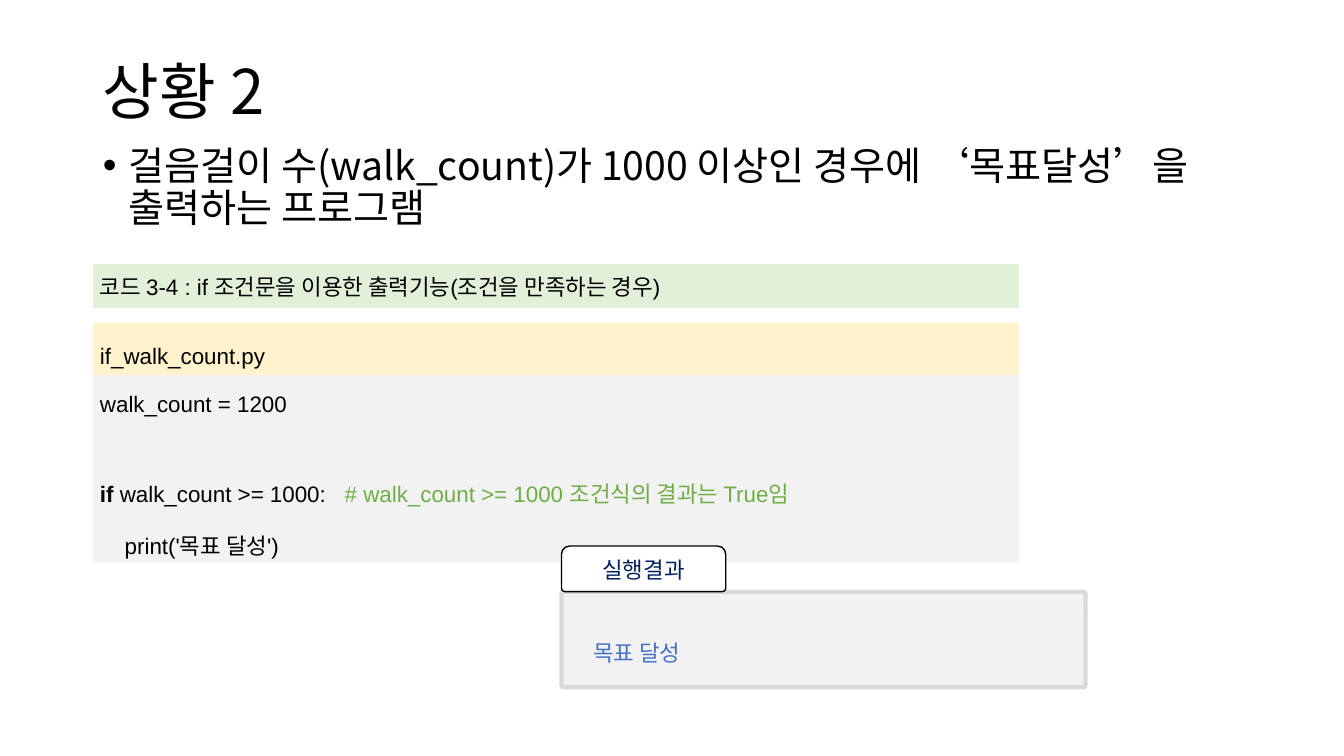
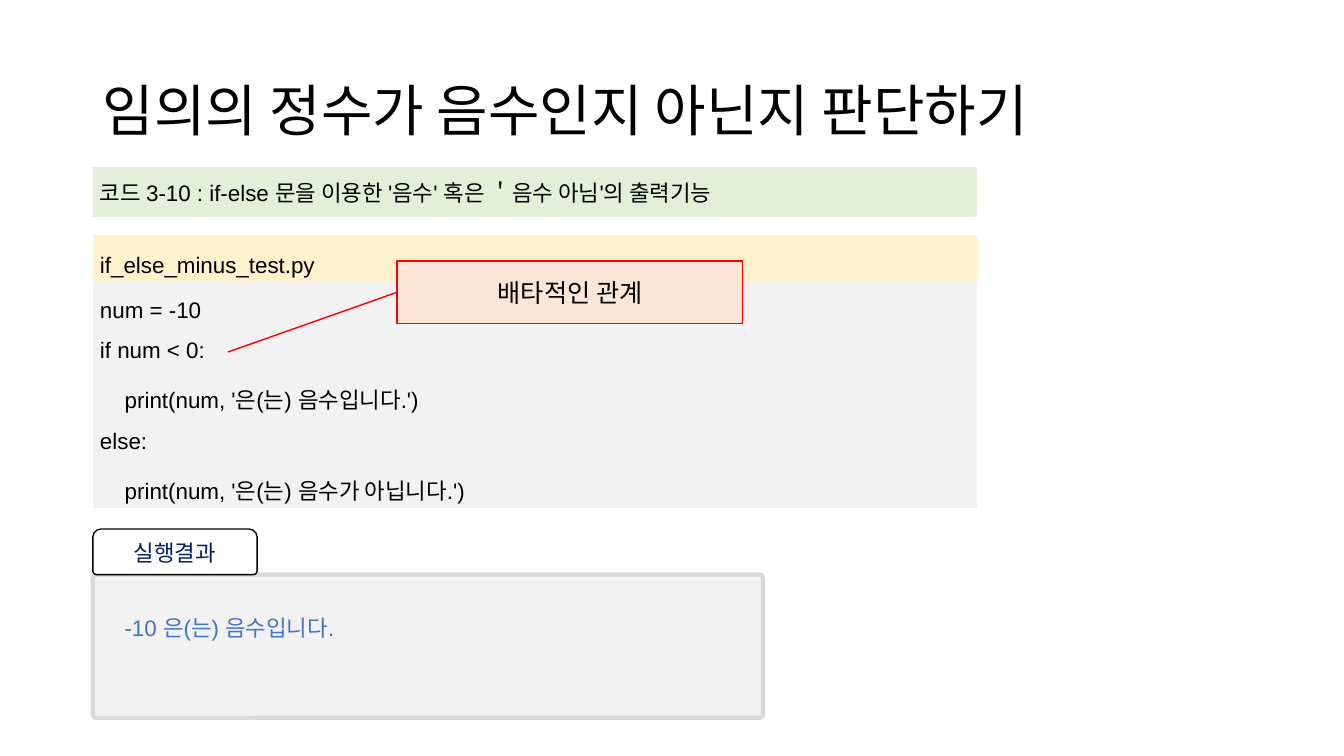
"""Build two Korean lesson slides on Python conditional statements."""
from dataclasses import dataclass

from lxml.etree import SubElement
from pptx import Presentation
from pptx.dml.color import RGBColor
from pptx.enum.shapes import MSO_SHAPE as Shape
from pptx.enum.text import MSO_ANCHOR as Anchor, PP_ALIGN as Align
from pptx.oxml.ns import qn
from pptx.util import Cm, Pt

COLORS = {
    "text": "000000", "caption": "E2F0D9", "file": "FFF2CC", "panel": "F2F2F2",
    "edge": "D9D9D9", "comment": "70AD47", "output": "4472C4", "tab": "002060",
    "white": "FFFFFF", "callout": "FBE5D6", "alert": "FF0000",
}
KOREAN = "Noto Sans CJK KR"
LATIN = "Arial"
LEFT, WIDTH = 2.34, 29.21
TAB_WIDTH, TAB_HEIGHT = 4.14, 1.15
NO_STYLE = "{2D5ABB26-0587-4C30-8999-92F81FD0307C}"


@dataclass(frozen=True)
class Span:
    text: str
    color: str = "text"
    bold: bool = False


@dataclass(frozen=True)
class Line:
    spans: tuple[Span, ...]
    before: float = 0


@dataclass(frozen=True)
class Listing:
    top: float
    width: float
    rows: tuple[float, ...]
    caption: str
    file: str
    code: tuple[Line, ...]


@dataclass(frozen=True)
class Result:
    left: float
    top: float
    width: float
    height: float
    text_offset: float
    text: str


def rgb(name: str) -> RGBColor:
    return RGBColor.from_string(COLORS[name])


def style_run(run, size: float, font: str, color: str = "text", bold: bool = False) -> None:
    run.font.size = Pt(size)
    run.font.bold = bold
    run.font.color.rgb = rgb(color)
    run.font.name = font
    SubElement(run.font.fill._xPr, qn("a:ea")).set("typeface", KOREAN)


def write(frame, text: str, size: float, font: str, color: str = "text",
          align: Align = Align.LEFT, spacing: float = 1.0) -> None:
    frame.text = text
    para = frame.paragraphs[0]
    para.alignment = align
    para.line_spacing = spacing
    para.space_before = Pt(0)
    style_run(para.runs[0], size, font, color)


def place(shape, left: float, top: float, width: float, height: float) -> None:
    shape.left, shape.top = Cm(left), Cm(top)
    shape.width, shape.height = Cm(width), Cm(height)


def add_title(page, text: str, top: float, size: float) -> None:
    title = page.shapes.title
    place(title, LEFT, top, WIDTH, 3.68)
    title.text_frame.vertical_anchor = Anchor.MIDDLE
    write(title.text_frame, text, size, KOREAN, spacing=0.9)


def add_body(page, text: str) -> None:
    body = page.placeholders[1]
    place(body, LEFT, 3.56, WIDTH, 12.09)
    write(body.text_frame, text, 28, KOREAN, spacing=0.9)
    properties = body.text_frame.paragraphs[0]._p.get_or_add_pPr()
    properties.set("marL", str(Cm(0.64)))
    properties.set("indent", str(-Cm(0.64)))


def add_box(page, kind: Shape, left: float, top: float, width: float, height: float,
            fill: str, edge: str, weight: float):
    box = page.shapes.add_shape(kind, Cm(left), Cm(top), Cm(width), Cm(height))
    box.shadow.inherit = False
    box.fill.solid()
    box.fill.fore_color.rgb = rgb(fill)
    box.line.color.rgb = rgb(edge)
    box.line.width = Pt(weight)
    box.text_frame.vertical_anchor = Anchor.MIDDLE
    return box


def write_code(frame, lines: tuple[Line, ...]) -> None:
    for index, line in enumerate(lines):
        para = frame.add_paragraph() if index else frame.paragraphs[0]
        para.alignment = Align.JUSTIFY
        para.line_spacing = 1.6
        para.space_before = Pt(line.before)
        for span in line.spans:
            run = para.add_run()
            run.text = span.text
            style_run(run, 16, LATIN, span.color, span.bold)


def add_listing(page, listing: Listing) -> None:
    frame = page.shapes.add_table(len(listing.rows), 1, Cm(LEFT), Cm(listing.top),
                                  Cm(listing.width), Cm(sum(listing.rows)))
    table = frame.table
    table.first_row = table.horz_banding = False
    for style in frame.element.iter(qn("a:tableStyleId")):
        style.text = NO_STYLE
    for row, height in zip(table.rows, listing.rows):
        row.height = Cm(height)
    caption, gap, file, code = (row.cells[0] for row in table.rows)
    for cell, fill in ((caption, "caption"), (file, "file"), (code, "panel")):
        cell.fill.solid()
        cell.fill.fore_color.rgb = rgb(fill)
        cell.vertical_anchor = Anchor.MIDDLE
        cell.margin_left = cell.margin_right = Cm(0.18)
        cell.margin_top = cell.margin_bottom = Cm(0.05)
    gap.fill.background()
    gap.margin_top = gap.margin_bottom = Cm(0)
    SubElement(gap.text_frame.paragraphs[0]._p, qn("a:endParaRPr")).set("sz", "400")
    write(caption.text_frame, listing.caption, 16, LATIN)
    write_code(file.text_frame, (Line((Span(listing.file),)),))
    write_code(code.text_frame, listing.code)


def add_result(page, result: Result) -> None:
    panel = add_box(page, Shape.ROUNDED_RECTANGLE, result.left, result.top,
                    result.width, result.height, "panel", "edge", 3)
    panel.adjustments[0] = 0.023
    tab = add_box(page, Shape.ROUND_2_SAME_RECTANGLE, result.left, result.top - TAB_HEIGHT,
                  TAB_WIDTH, TAB_HEIGHT, "white", "text", 1)
    tab.adjustments[0], tab.adjustments[1] = 0.18, 0.08
    write(tab.text_frame, "실행결과", 16, KOREAN, "tab", Align.CENTER)
    output = page.shapes.add_textbox(Cm(result.left + 0.55), Cm(result.top + result.text_offset),
                                     Cm(result.width - 1.1), Cm(1.2))
    output.text_frame.word_wrap = True
    write(output.text_frame, result.text, 16, LATIN, "output", spacing=1.5)


def add_callout(page, text: str) -> None:
    callout = add_box(page, Shape.LINE_CALLOUT_1, 10.01, 6.58, 8.71, 1.57,
                      "callout", "alert", 1)
    for index, value in enumerate((0.5, 0, 1.46, -0.49)):
        callout.adjustments[index] = value
    write(callout.text_frame, text, 18, KOREAN, align=Align.CENTER)


WALK_LISTING = Listing(
    6.65, 23.34, (1.12, 0.36, 1.32, 4.17),
    "코드 3-4 : if 조건문을 이용한 출력기능(조건을 만족하는 경우)",
    "if_walk_count.py",
    (
        Line((Span("walk_count = 1200"),)),
        Line((Span("if ", bold=True), Span("walk_count >= 1000:   "),
              Span("# walk_count >= 1000 조건식의 결과는 True임", "comment")), 29),
        Line((Span("    print('목표 달성')"),)),
    ),
)
MINUS_LISTING = Listing(
    4.22, 22.28, (1.24, 0.46, 1.17, 5.69),
    "코드 3-10 : if-else 문을 이용한 '음수' 혹은 ＇음수 아님'의 출력기능",
    "if_else_minus_test.py",
    tuple(Line((Span(text),)) for text in (
        "num = -10",
        "if num < 0:",
        "    print(num, '은(는) 음수입니다.')",
        "else:",
        "    print(num, '은(는) 음수가 아닙니다.')",
    )),
)


def main() -> None:
    deck = Presentation()
    deck.slide_width, deck.slide_height = Cm(33.87), Cm(19.05)

    page = deck.slides.add_slide(deck.slide_layouts[1])
    add_title(page, "상황 2", 0.53, 44)
    add_body(page, "걸음걸이 수(walk_count)가 1000 이상인 경우에 ‘목표달성’을 출력하는 프로그램")
    add_listing(page, WALK_LISTING)
    add_result(page, Result(14.15, 14.91, 13.21, 2.41, 0.74, "목표 달성"))

    page = deck.slides.add_slide(deck.slide_layouts[5])
    add_title(page, "임의의 정수가 음수인지 아닌지 판단하기", 1.02, 40)
    add_listing(page, MINUS_LISTING)
    add_result(page, Result(LEFT, 14.48, 16.89, 3.61, 0.53, "-10 은(는) 음수입니다."))
    add_callout(page, "배타적인 관계")

    deck.save("out.pptx")


if __name__ == "__main__":
    main()
